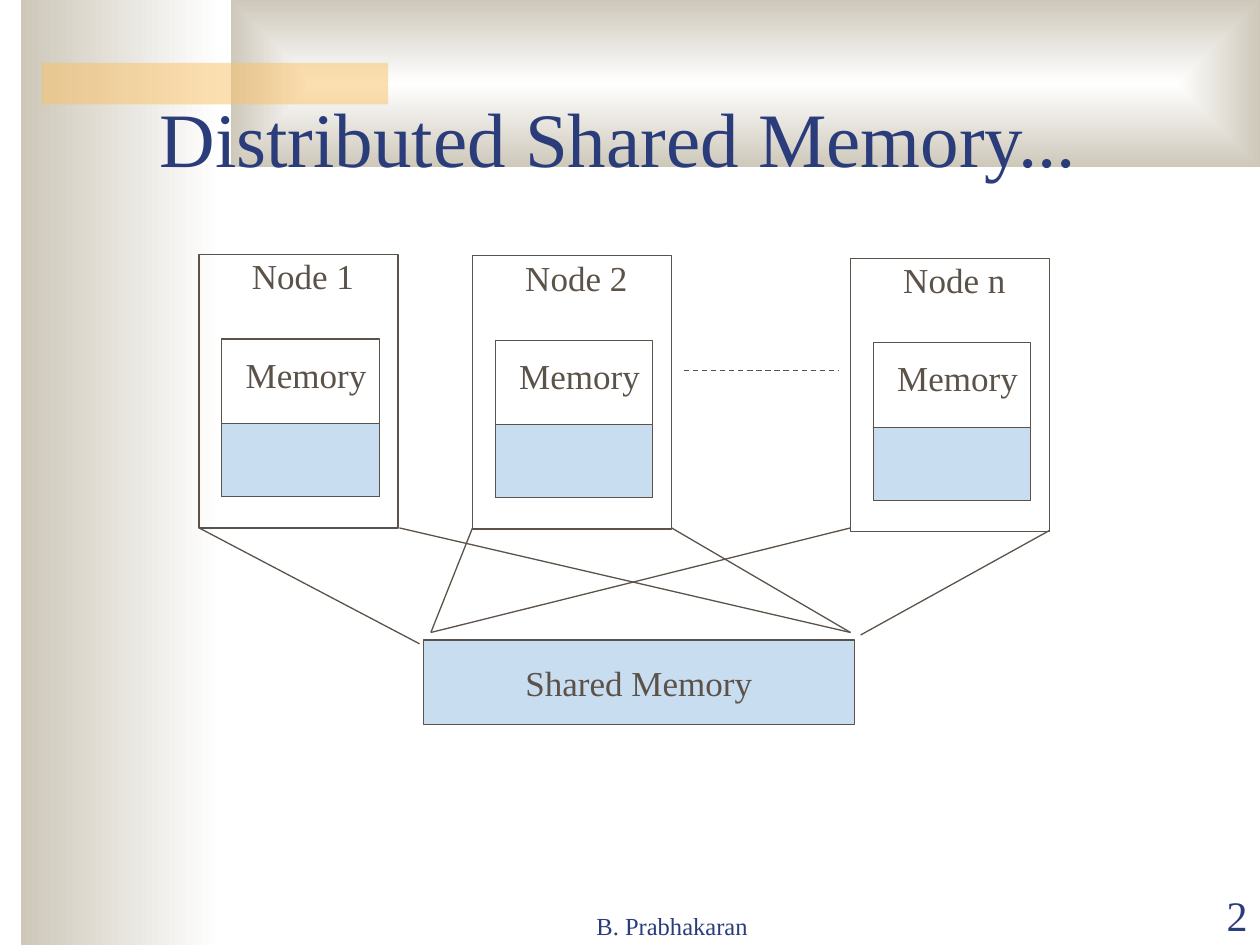
from lxml import etree
from pptx import Presentation
from pptx.dml.color import RGBColor
from pptx.enum.dml import MSO_LINE
from pptx.enum.shapes import MSO_CONNECTOR, MSO_SHAPE
from pptx.enum.text import MSO_ANCHOR, PP_ALIGN
from pptx.oxml.ns import qn
from pptx.util import Inches, Pt

RECT, LINE = MSO_SHAPE.RECTANGLE, MSO_CONNECTOR.STRAIGHT
DASH = MSO_LINE.DASH
LEFT, CENTER, RIGHT = PP_ALIGN.LEFT, PP_ALIGN.CENTER, PP_ALIGN.RIGHT
MIDDLE, BOTTOM = MSO_ANCHOR.MIDDLE, MSO_ANCHOR.BOTTOM

FONT = "Times New Roman"
COLORS = {"white": "FFFFFF", "sand": "CEC8BA", "gold": "FAC164",
          "navy": "2A3D7A", "brown": "5B5249", "blue": "C9DDF1"}

# Label, left, top of each node
NODES = [("Node 1", 1.58, 2.02), ("Node 2", 3.75, 2.03), ("Node n", 6.75, 2.05)]
# From and to of each link between a node and the shared memory
LINKS = [((1.58, 4.19), (3.33, 5.11)), ((3.17, 4.19), (6.75, 5.02)),
         ((3.75, 4.19), (3.42, 5.02)), ((5.33, 4.19), (6.75, 5.02)),
         ((6.75, 4.19), (3.42, 5.02)), ((8.33, 4.21), (6.83, 5.04))]
# Text, place, size, alignment
FRAME = [("Distributed Shared Memory...", (1.17, 0.25, 8.5, 1.25), 44, LEFT),
         ("B. Prabhakaran", (3.75, 7.01, 3.17, 0.5), 14, CENTER),
         ("2", (9, 7.01, 1, 0.5), 24, RIGHT)]

prs = Presentation()
prs.slide_width, prs.slide_height = Inches(10), Inches(7.5)
slide = prs.slides.add_slide(prs.slide_layouts[6])
shapes = slide.shapes


def color(name):
    return RGBColor.from_string(COLORS[name])


def box(place, fill=None, line="brown"):
    shape = shapes.add_shape(RECT, *map(Inches, place))
    shape.shadow.inherit = False
    if fill:
        shape.fill.solid()
        shape.fill.fore_color.rgb = color(fill)
    else:
        shape.fill.background()
    if line:
        shape.line.color.rgb = color(line)
        shape.line.width = Pt(0.75)
    else:
        shape.line.fill.background()
    return shape


def fade(place):
    """Add a band that runs from white to sand, right to left."""
    band = box(place, line=None)
    band.fill.gradient()
    band.fill.gradient_angle = 180
    for stop, name, pos in zip(band.fill.gradient_stops, ("white", "sand"), (0, 1)):
        stop.color.rgb = color(name)
        stop.position = pos
    return band


def write(shape, text, size, ink, align, anchor, wrap):
    frame = shape.text_frame
    frame.word_wrap = wrap
    frame.vertical_anchor = anchor
    par = frame.paragraphs[0]
    par.alignment = align
    run = par.add_run()
    run.text = text
    run.font.name, run.font.size = FONT, Pt(size)
    run.font.color.rgb = color(ink)


def label(text, place, size=20, ink="brown", align=LEFT, anchor=MIDDLE, wrap=False):
    shape = shapes.add_textbox(*map(Inches, place))
    write(shape, text, size, ink, align, anchor, wrap)


def link(start, end, dash=None):
    line = shapes.add_connector(LINE, *map(Inches, start + end))
    line.line.color.rgb = color("brown")
    line.line.width = Pt(0.75)
    if dash:
        line.line.dash_style = dash
    etree.SubElement(line._element.spPr, qn("a:effectLst"))


def node(name, x, y):
    box((x, y, 1.58, 2.17))
    label(name, (x + 0.32, y - 0.05, 1.01, 0.44))
    label("Memory", (x + 0.27, y + 0.73, 1.16, 0.44), align=CENTER)
    box((x + 0.18, y + 0.67, 1.25, 1.25))
    box((x + 0.18, y + 1.34, 1.25, 0.58), "blue")


# Backdrop
fade((0.17, 0, 1.58, 7.5))
top = fade((1.83, 0, 8.17, 1.33))
grad = top._element.spPr.find(qn("a:gradFill"))
lin = grad.find(qn("a:lin"))
focus = etree.Element(qn("a:path"), path="rect")
etree.SubElement(focus, qn("a:fillToRect"), l="50000", t="50000", r="50000", b="50000")
grad.replace(lin, focus)
bar = box((0.33, 0.5, 2.75, 0.33), "gold", None)
tint = bar._element.spPr.find(qn("a:solidFill"))[0]
etree.SubElement(tint, qn("a:alpha"), val="50000")

for text, place, size, align in FRAME:
    label(text, place, size, "navy", align, BOTTOM, True)

# Diagram
for item in NODES:
    node(*item)
link((5.43, 2.94), (6.65, 2.94), DASH)
shared = box((3.36, 5.08, 3.42, 0.67), "blue")
write(shared, "Shared Memory", 20, "brown", CENTER, MIDDLE, False)
for start, end in LINKS:
    link(start, end)

prs.save("out.pptx")
